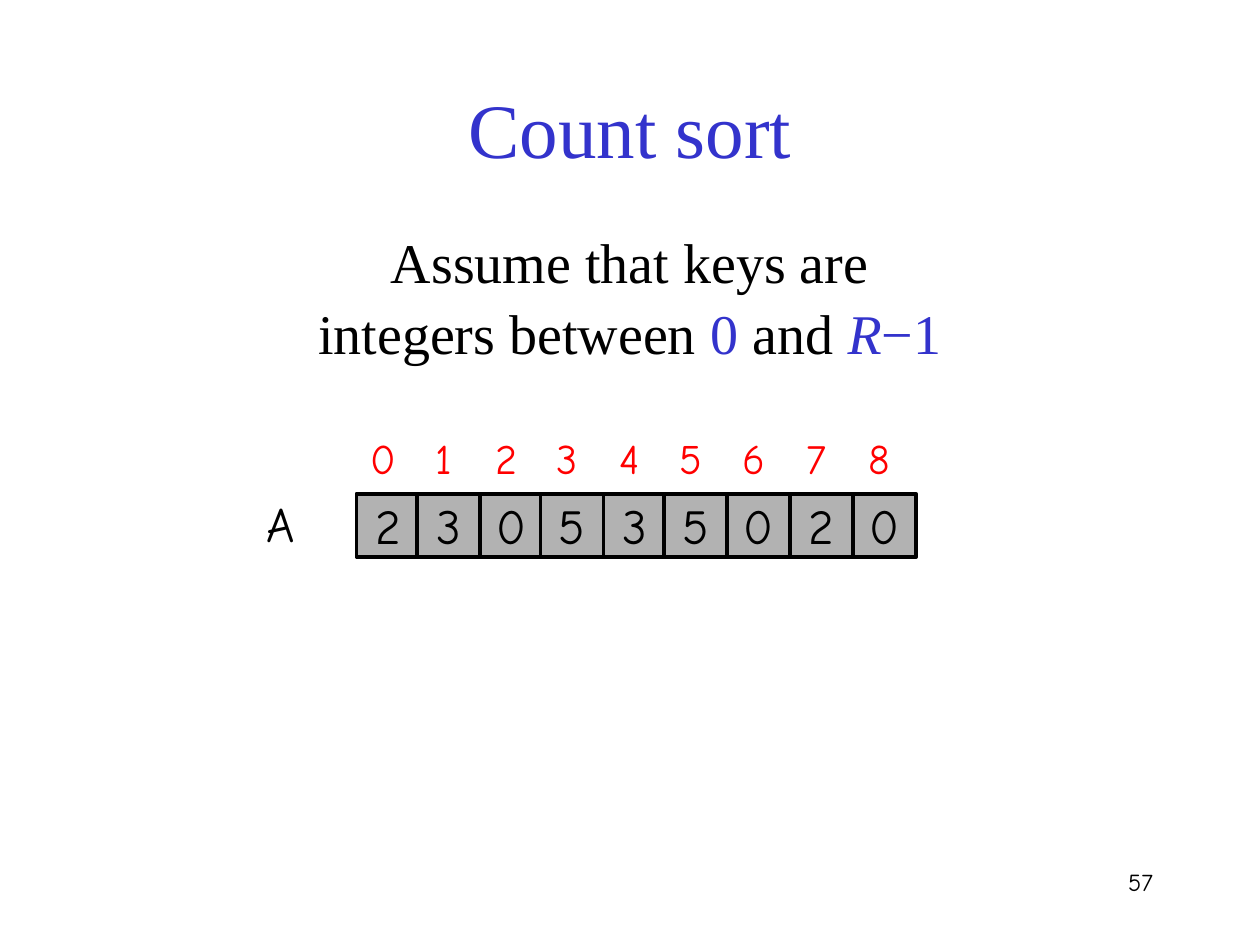
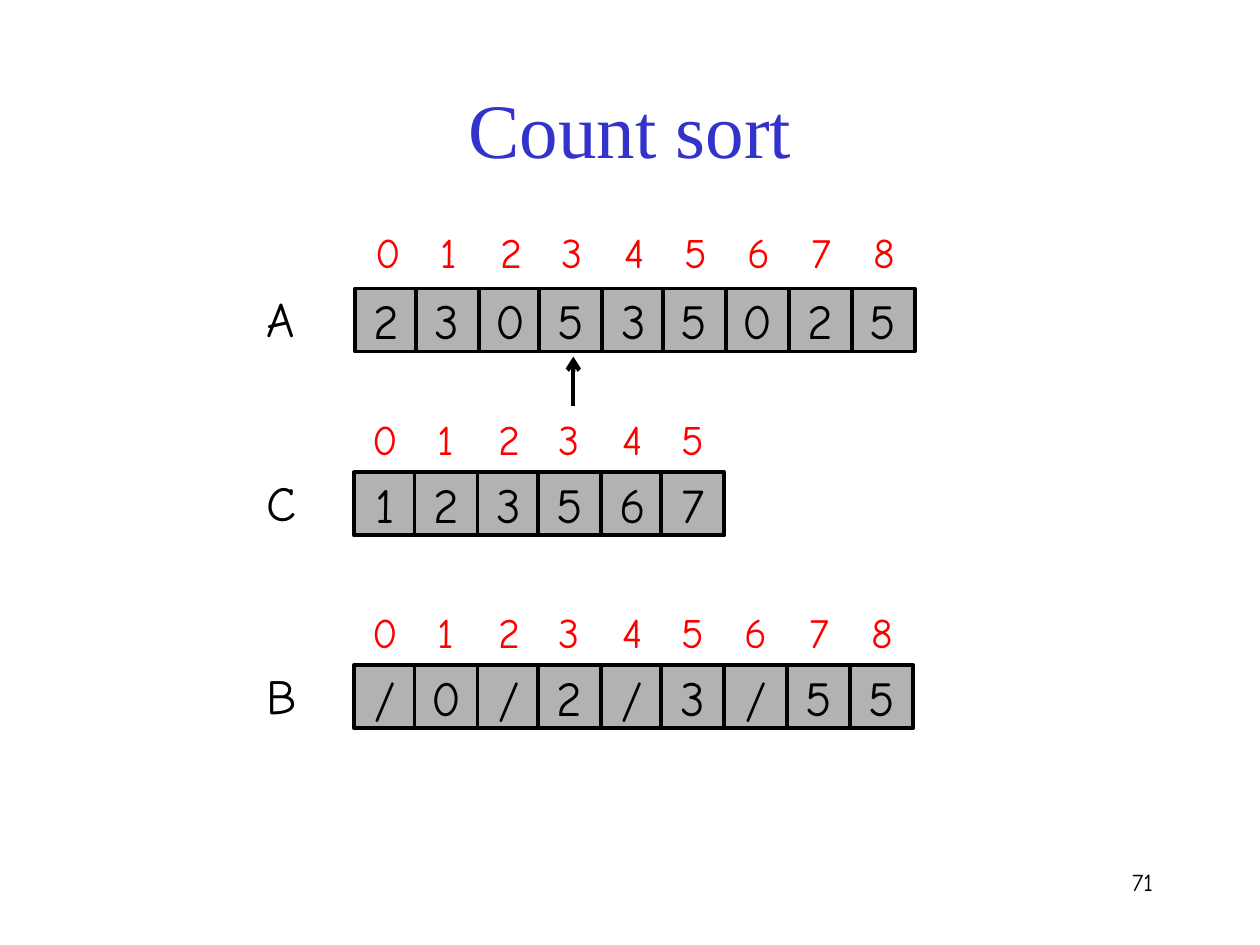
from itertools import accumulate

from lxml import etree
from pptx import Presentation
from pptx import util as u
from pptx.dml.color import RGBColor
from pptx.enum import shapes, text
from pptx.oxml import ns

BLACK = RGBColor(0x00, 0x00, 0x00)
WHITE = RGBColor(0xFF, 0xFF, 0xFF)
GRAY = RGBColor(0xB2, 0xB2, 0xB2)
RED = RGBColor(0xFF, 0x00, 0x00)
BLUE = RGBColor(0x33, 0x33, 0xCC)
SERIF, HAND = "Times New Roman", "Comic Neue"

TITLE = "Count sort"
ASSUMPTION = [
    [("Assume that keys are", BLACK, False)],
    [("integers between ", BLACK, False), ("0", BLUE, False), (" and ", BLACK, False),
     ("R", BLUE, True), ("−1", BLUE, False)],
]
PAGES = [
    {"number": "57", "assumption": ASSUMPTION, "arrays": [
        {"name": "A", "values": "230535020", "cells": (283, 392), "indices": (279, 338)},
    ]},
    {"number": "71", "pointer": (455, 322, 455, 283), "arrays": [
        {"name": "A", "values": "230535025", "cells": (282, 229), "indices": (283, 175)},
        {"name": "C", "values": "123567", "cells": (281, 375), "indices": (281, 323)},
        {"name": "B", "values": "/0/2/3/55", "cells": (281, 528), "indices": (281, 476)},
    ]},
]

CELL = 50
COLUMNS = list(accumulate([48, 50, 48, 50, 48, 50, 50, 50], initial=0))


def px(*lengths):
    return [u.Emu(length * 9144) for length in lengths]


def style(span, font, size, color, italic=False):
    span.font.name = font
    span.font.size = u.Pt(size)
    span.font.color.rgb = color
    span.font.italic = italic


def add_text(page, place, words, font, size, color, align, anchor=text.MSO_ANCHOR.TOP):
    box = page.shapes.add_textbox(*px(*place))
    frame = box.text_frame
    frame.word_wrap = True
    frame.vertical_anchor = anchor
    frame.text = words
    para = frame.paragraphs[0]
    para.alignment = align
    for span in para.runs:
        style(span, font, size, color)
    return para


def add_square(page, left, top, words, size, color, fill, outlined):
    square = page.shapes.add_shape(shapes.MSO_SHAPE.RECTANGLE, *px(left, top, CELL, CELL))
    square.shadow.inherit = False
    square.fill.solid()
    square.fill.fore_color.rgb = fill
    if outlined:
        square.line.color.rgb = BLACK
        square.line.width = u.Pt(2.25)
    else:
        square.line.fill.background()
    frame = square.text_frame
    frame.word_wrap = False
    frame.vertical_anchor = text.MSO_ANCHOR.MIDDLE
    frame.text = words
    frame.paragraphs[0].alignment = text.PP_ALIGN.CENTER
    style(frame.paragraphs[0].runs[0], HAND, size, color)


def add_array(page, name, values, cells, indices):
    left, top = cells
    for offset, value in zip(COLUMNS, values):
        add_square(page, left + offset, top, value, 28, BLACK, GRAY, True)
    add_text(page, (202, top - 5, 52, 57), name, HAND, 28, BLACK, text.PP_ALIGN.LEFT)
    left, top = indices
    for index, offset in enumerate(COLUMNS[:len(values)]):
        add_square(page, left + offset, top, str(index), 24, RED, WHITE, False)


def add_assumption(page, lines):
    para = add_text(page, (0, 173, 1000, 132), "", SERIF, 32, BLACK, text.PP_ALIGN.CENTER)
    para.line_spacing = 1.05
    for number, line in enumerate(lines):
        if number:
            para.add_line_break()
        for words, color, italic in line:
            span = para.add_run()
            span.text = words
            style(span, SERIF, 32, color, italic)


def add_pointer(page, ends):
    arrow = page.shapes.add_connector(shapes.MSO_CONNECTOR.STRAIGHT, *px(*ends))
    arrow.line.color.rgb = BLACK
    arrow.line.width = u.Pt(2.5)
    etree.SubElement(arrow.line._get_or_add_ln(), ns.qn("a:tailEnd"), type="arrow")
    etree.SubElement(arrow._element.spPr, ns.qn("a:effectLst"))


def main():
    deck = Presentation()
    deck.slide_width, deck.slide_height = px(1000, 750)
    for content in PAGES:
        page = deck.slides.add_slide(deck.slide_layouts[6])
        add_text(page, (0, 59, 1000, 84), TITLE, SERIF, 44, BLUE,
                 text.PP_ALIGN.CENTER, text.MSO_ANCHOR.MIDDLE)
        add_text(page, (717, 683, 208, 50), content["number"], HAND, 14, BLACK,
                 text.PP_ALIGN.RIGHT)
        if "assumption" in content:
            add_assumption(page, content["assumption"])
        for array in content["arrays"]:
            add_array(page, **array)
        if "pointer" in content:
            add_pointer(page, content["pointer"])
    deck.save("out.pptx")


if __name__ == "__main__":
    main()
